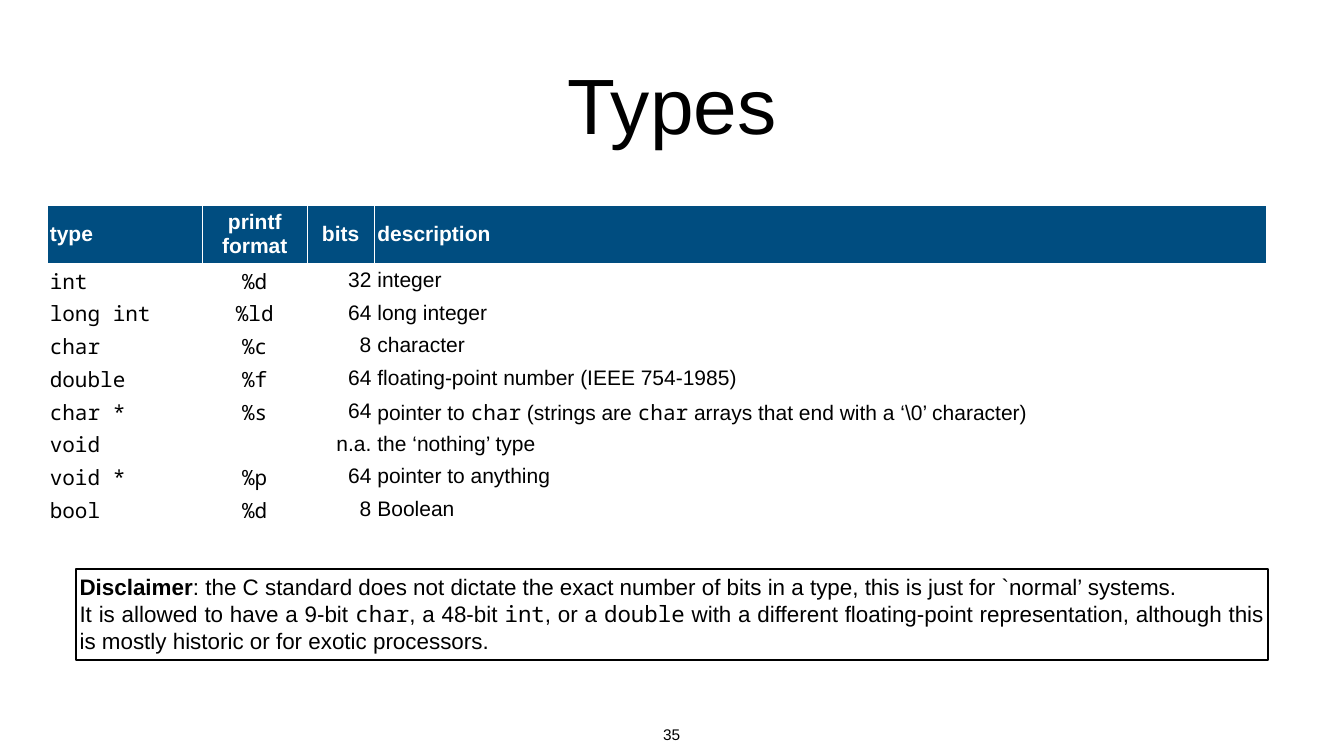
"""Build the slide that lists the C types with their printf formats and sizes."""
from pptx import Presentation
from pptx.dml.color import RGBColor
from pptx.enum.shapes import MSO_SHAPE
from pptx.enum.text import MSO_ANCHOR, PP_ALIGN
from pptx.util import Cm, Pt

THEME = {
    "sans": "Arial", "mono": "Noto Sans Mono",
    "black": RGBColor(0, 0, 0), "white": RGBColor(255, 255, 255),
    "header": RGBColor(0x00, 0x4D, 0x80),
    "title": Pt(112), "table": Pt(30), "note": Pt(32), "number": Pt(22), "line": Pt(3),
}

TITLE = "Types"
PAGE = "35"
HEADER = ("type", "printf format", "bits", "description")
TYPES = [
    ("|int|", "|%d|", "32", "integer"),
    ("|long int|", "|%ld|", "64", "long integer"),
    ("|char|", "|%c|", "8", "character"),
    ("|double|", "|%f|", "64", "floating-point number (IEEE 754-1985)"),
    ("|char *|", "|%s|", "64",
     "pointer to |char| (strings are |char| arrays that end with a ‘\\0’ character)"),
    ("|void|", "", "n.a.", "the ‘nothing’ type"),
    ("|void *|", "|%p|", "64", "pointer to anything"),
    ("|bool|", "|%d|", "8", "Boolean"),
]
LEAD = "Disclaimer"
NOTE = [
    ": the C standard does not dictate the exact number of bits in a type, "
    "this is just for `normal’ systems.",
    "It is allowed to have a 9-bit |char|, a 48-bit |int|, or a |double| with a different "
    "floating-point representation, although this is mostly historic or for exotic processors.",
]
COL_WIDTHS = (7.85, 5.26, 3.4, 44.93)
HEADER_HEIGHT, ROW_HEIGHT = 2.95, 1.65
HEADER_ALIGN = (PP_ALIGN.LEFT, PP_ALIGN.CENTER, PP_ALIGN.CENTER, PP_ALIGN.LEFT)
BODY_ALIGN = (PP_ALIGN.LEFT, PP_ALIGN.CENTER, PP_ALIGN.RIGHT, PP_ALIGN.LEFT)


def write(p, text, size, color="black", bold=False, align=PP_ALIGN.LEFT):
    """Add text to a paragraph, with the parts between bars in the mono font."""
    p.alignment = align
    p.font.size = THEME[size]
    for i, part in enumerate(text.split("|")):
        if part:
            r = p.add_run()
            r.text = part
            r.font.name = THEME["mono" if i % 2 else "sans"]
            r.font.size = THEME[size]
            r.font.bold = bold
            r.font.color.rgb = THEME[color]


def set_margins(frame, margin):
    """Give a text frame or cell the same margin on all sides."""
    frame.margin_left = frame.margin_right = margin
    frame.margin_top = frame.margin_bottom = margin


def add_title(s):
    """Place and fill the title."""
    sp = s.shapes.title
    sp.left, sp.top, sp.width, sp.height = Cm(12.19), Cm(1), Cm(43.36), Cm(8.43)
    tf = sp.text_frame
    tf.vertical_anchor = MSO_ANCHOR.MIDDLE
    set_margins(tf, Cm(0.2))
    write(tf.paragraphs[0], TITLE, "title", align=PP_ALIGN.CENTER)


def add_types(s):
    """Add the table of types."""
    rows = [HEADER, *TYPES]
    heights = [HEADER_HEIGHT] + [ROW_HEIGHT] * len(TYPES)
    table = s.shapes.add_table(len(rows), len(HEADER), Cm(2.36), Cm(10.34),
                               Cm(sum(COL_WIDTHS)), Cm(sum(heights))).table
    table.horz_banding = False
    for col, width in zip(table.columns, COL_WIDTHS):
        col.width = Cm(width)
    for i, (row, height) in enumerate(zip(rows, heights)):
        table.rows[i].height = Cm(height)
        head = i == 0
        for j, (text, align) in enumerate(zip(row, HEADER_ALIGN if head else BODY_ALIGN)):
            cell = table.cell(i, j)
            cell.fill.solid()
            cell.fill.fore_color.rgb = THEME["header" if head else "white"]
            cell.vertical_anchor = MSO_ANCHOR.MIDDLE
            set_margins(cell, Cm(0.15))
            write(cell.text_frame.paragraphs[0], text, "table",
                  "white" if head else "black", head, align)


def add_note(s):
    """Add the framed disclaimer."""
    sp = s.shapes.add_shape(MSO_SHAPE.RECTANGLE, Cm(3.81), Cm(28.68), Cm(60.12), Cm(4.57))
    sp.shadow.inherit = False
    sp.fill.background()
    sp.line.color.rgb = THEME["black"]
    sp.line.width = THEME["line"]
    tf = sp.text_frame
    tf.word_wrap = True
    tf.vertical_anchor = MSO_ANCHOR.TOP
    set_margins(tf, Cm(0.2))
    first = tf.paragraphs[0]
    write(first, LEAD, "note", bold=True)
    for p, text in zip((first, tf.add_paragraph()), NOTE):
        write(p, text, "note", align=PP_ALIGN.JUSTIFY)


def add_page_number(s):
    """Add the slide number."""
    tf = s.shapes.add_textbox(Cm(33.2), Cm(36.32), Cm(1.3), Cm(1.32)).text_frame
    tf.word_wrap = False
    set_margins(tf, Cm(0.2))
    write(tf.paragraphs[0], PAGE, "number", align=PP_ALIGN.CENTER)


def main():
    """Build and save the slide."""
    prs = Presentation()
    prs.slide_width, prs.slide_height = Cm(67.74), Cm(38.1)
    s = prs.slides.add_slide(prs.slide_layouts[5])
    add_title(s)
    add_page_number(s)
    add_types(s)
    add_note(s)
    prs.save("out.pptx")


if __name__ == "__main__":
    main()
